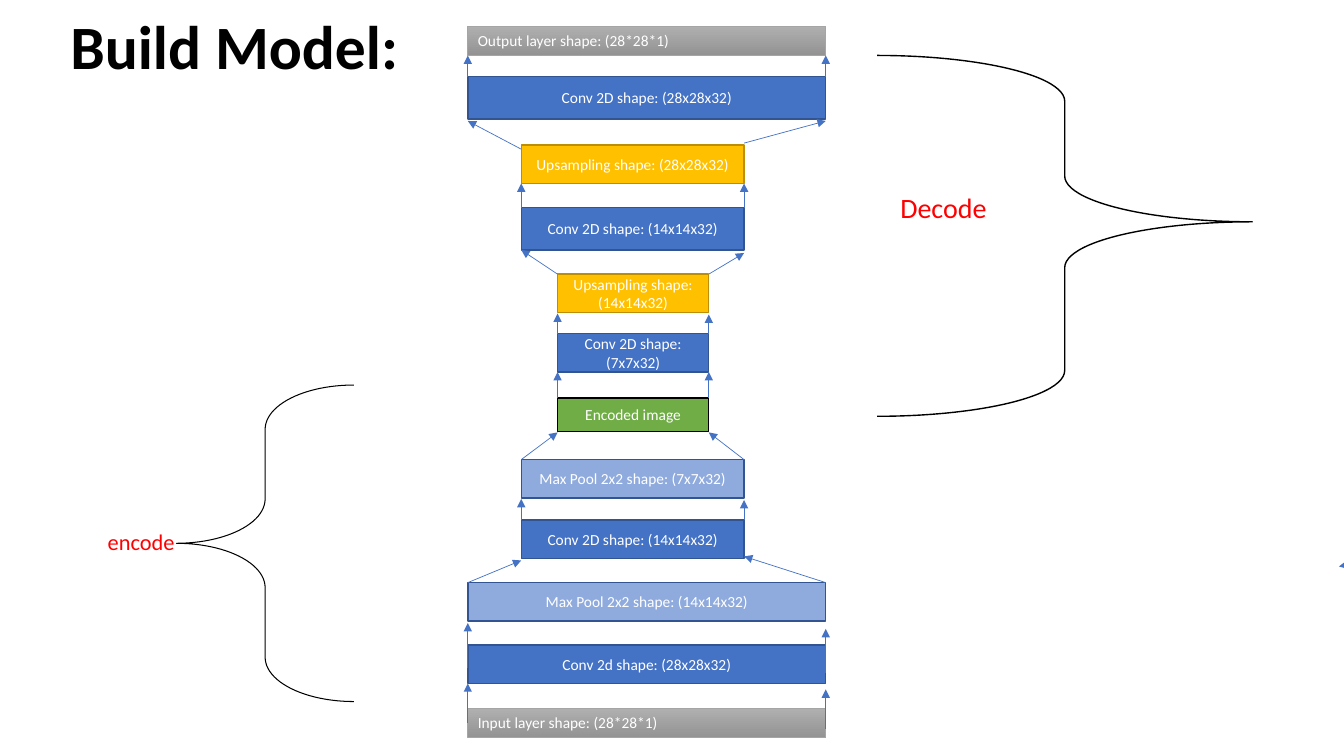
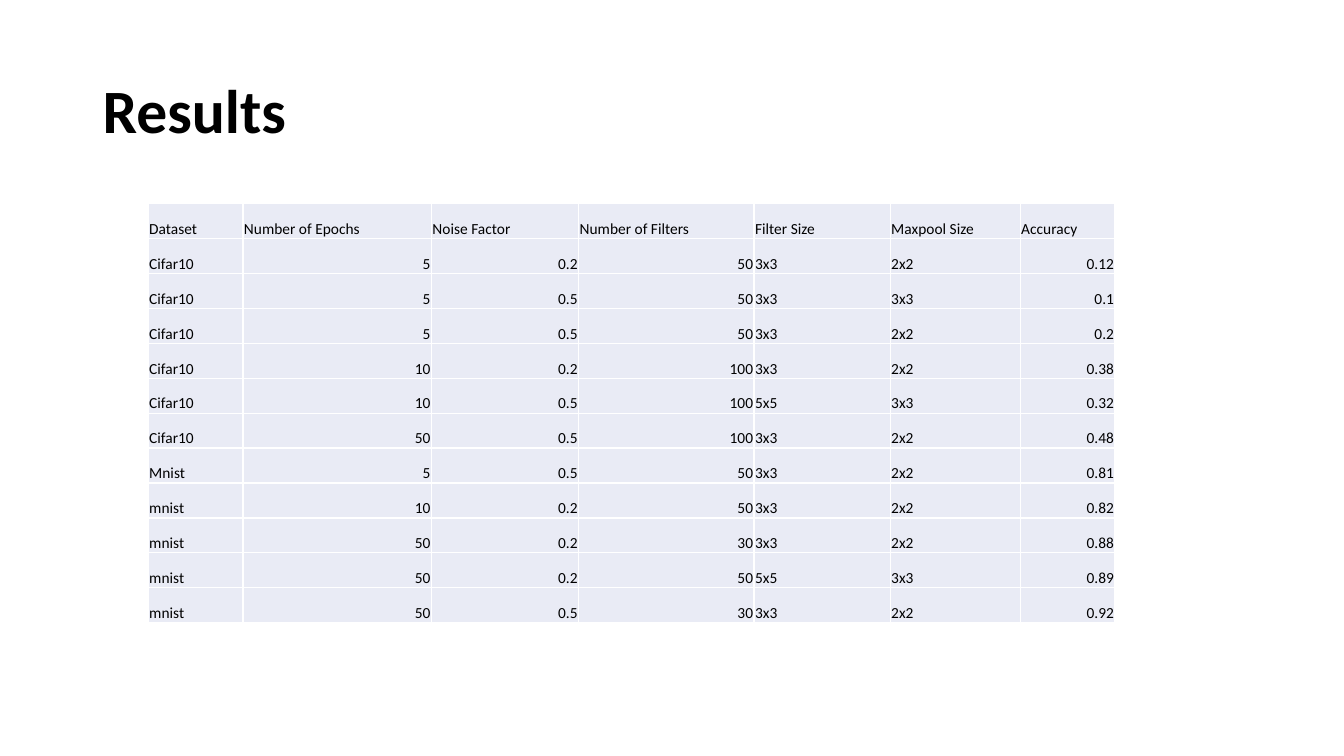
"""Build the autoencoder model slide and the results slide."""
from dataclasses import dataclass
from itertools import pairwise
from typing import NamedTuple

from lxml.etree import SubElement
from pptx import Presentation
from pptx.dml.color import RGBColor
from pptx.enum.shapes import MSO_CONNECTOR, MSO_SHAPE
from pptx.enum.text import MSO_ANCHOR as Anchor, PP_ALIGN as Align
from pptx.oxml.ns import qn
from pptx.shapes.autoshape import Shape
from pptx.slide import Slide
from pptx.text.text import TextFrame
from pptx.util import Inches, Pt


@dataclass(frozen=True)
class Theme:
    font: str = "Calibri"
    ink: str = "000000"
    paper: str = "FFFFFF"
    label: str = "FF0000"
    arrow: str = "4472C4"
    cell: str = "E9EBF5"
    title_size: float = 44
    decode_size: float = 20
    encode_size: float = 16
    body_size: float = 11
    arrow_width: float = 0.5


class Look(NamedTuple):
    top: str
    bottom: str
    outline: str
    outline_width: float = 1
    align: Align = Align.CENTER
    anchor: Anchor = Anchor.MIDDLE


class Tier(NamedTuple):
    left: float
    width: float

    @property
    def edges(self) -> tuple[float, float]:
        return self.left, self.left + self.width


@dataclass(frozen=True)
class Layer:
    """One network layer; feet and gaps shift its left and right arrows."""
    text: str
    look: Look
    tier: Tier
    top: float
    height: float = 0.38
    feet: tuple[float, float] = (0, 0)
    gaps: tuple[float, float] = (0, 0)


@dataclass(frozen=True)
class Brace:
    preset: MSO_SHAPE
    box: tuple[float, float, float, float]
    bends: tuple[float, float]
    line_width: float


THEME = Theme()
EDGE = Look("AFAFAF", "939393", "A5A5A5", 0.5, Align.LEFT, Anchor.TOP)
CONV = Look("4472C4", "4472C4", "325491")
POOL = Look("8FAADC", "8FAADC", "325491")
UPSAMPLE = Look("FFC000", "FFC000", "BD8E00")
CODE = Look("70AD47", "70AD47", "000000")
WIDE, MIDDLE, NARROW = Tier(4.64, 3.55), Tier(5.17, 2.21), Tier(5.53, 1.5)

LAYERS = [
    Layer("Input layer shape: (28*28*1)", EDGE, WIDE, 7.03, 0.29, (0.14, 0.2), (0, 0.06)),
    Layer("Conv 2d shape: (28x28x32)", CONV, WIDE, 6.4, feet=(0.23, 0.28), gaps=(0.02, 0.08)),
    Layer("Max Pool 2x2 shape: (14x14x32)", POOL, WIDE, 5.78, gaps=(0.02, -0.02)),
    Layer("Conv 2D shape: (14x14x32)", CONV, MIDDLE, 5.16, gaps=(0.01, 0.02)),
    Layer("Max Pool 2x2 shape: (7x7x32)", POOL, MIDDLE, 4.56, gaps=(0.01, 0.01)),
    Layer("Encoded image", CODE, NARROW, 3.95, 0.33),
    Layer("Conv 2D shape: (7x7x32)", CONV, NARROW, 3.31, gaps=(0.01, 0.02)),
    Layer("Upsampling shape: (14x14x32)", UPSAMPLE, NARROW, 2.72, gaps=(0, 0.03)),
    Layer("Conv 2D shape: (14x14x32)", CONV, MIDDLE, 2.06, 0.42),
    Layer("Upsampling shape: (28x28x32)", UPSAMPLE, MIDDLE, 1.44,
          feet=(0.04, -0.02), gaps=(0.02, 0.02)),
    Layer("Conv 2D shape: (28x28x32)", CONV, WIDE, 0.76, 0.42),
    Layer("Output layer shape: (28*28*1)", EDGE, WIDE, 0.26, 0.29),
]

DECODE = Brace(MSO_SHAPE.RIGHT_BRACE, (8.7, 0.55, 3.72, 3.58), (0.127, 0.461), 1)
ENCODE = Brace(MSO_SHAPE.LEFT_BRACE, (1.75, 3.82, 1.76, 3.14), (0.25, 0.5), 0.75)

COLUMNS = [("Dataset", 0.94), ("Number of Epochs", 1.87), ("Noise Factor", 1.46),
           ("Number of Filters", 1.74), ("Filter Size", 1.35), ("Maxpool Size", 1.29),
           ("Accuracy", 0.94)]
NUMERIC = {"Number of Epochs", "Noise Factor", "Number of Filters", "Accuracy"}
RUNS = [
    ("Cifar10", "5", "0.2", "50", "3x3", "2x2", "0.12"),
    ("Cifar10", "5", "0.5", "50", "3x3", "3x3", "0.1"),
    ("Cifar10", "5", "0.5", "50", "3x3", "2x2", "0.2"),
    ("Cifar10", "10", "0.2", "100", "3x3", "2x2", "0.38"),
    ("Cifar10", "10", "0.5", "100", "5x5", "3x3", "0.32"),
    ("Cifar10", "50", "0.5", "100", "3x3", "2x2", "0.48"),
    ("Mnist", "5", "0.5", "50", "3x3", "2x2", "0.81"),
    ("mnist", "10", "0.2", "50", "3x3", "2x2", "0.82"),
    ("mnist", "50", "0.2", "30", "3x3", "2x2", "0.88"),
    ("mnist", "50", "0.2", "50", "5x5", "3x3", "0.89"),
    ("mnist", "50", "0.5", "30", "3x3", "2x2", "0.92"),
]


def rgb(value: str) -> RGBColor:
    """Turn a hex string into a colour."""
    return RGBColor.from_string(value)


def write(frame: TextFrame, text: str, *, size: float = THEME.body_size,
          color: str = THEME.ink, bold: bool = False, align: Align = Align.LEFT,
          spacing: float = 1.0) -> None:
    """Fill a text frame with one formatted paragraph."""
    paragraph = frame.paragraphs[0]
    paragraph.alignment, paragraph.line_spacing = align, spacing
    run = paragraph.add_run()
    run.text = text
    run.font.name, run.font.size, run.font.bold = THEME.font, Pt(size), bold
    run.font.color.rgb = rgb(color)


def add_label(slide: Slide, text: str, box: tuple[float, float, float, float],
              anchor: Anchor = Anchor.TOP, **style) -> None:
    """Place free-standing text."""
    frame = slide.shapes.add_textbox(*map(Inches, box)).text_frame
    frame.word_wrap, frame.vertical_anchor = True, anchor
    write(frame, text, **style)


def add_title(slide: Slide, text: str, box: tuple[float, float, float, float]) -> None:
    """Place a slide title in the shared style."""
    add_label(slide, text, box, Anchor.MIDDLE, size=THEME.title_size, bold=True, spacing=0.9)


def add_layer(slide: Slide, layer: Layer) -> None:
    """Draw one network layer."""
    look = layer.look
    block = slide.shapes.add_shape(MSO_SHAPE.RECTANGLE, *map(Inches, (
        layer.tier.left, layer.top, layer.tier.width, layer.height)))
    block.shadow.inherit = False
    if look.top == look.bottom:
        block.fill.solid()
        block.fill.fore_color.rgb = rgb(look.top)
    else:
        block.fill.gradient()
        block.fill.gradient_angle = 270
        for stop, color in zip(block.fill.gradient_stops, (look.top, look.bottom)):
            stop.color.rgb = rgb(color)
    block.line.color.rgb, block.line.width = rgb(look.outline), Pt(look.outline_width)
    block.text_frame.word_wrap = True
    block.text_frame.vertical_anchor = look.anchor
    write(block.text_frame, layer.text, color=THEME.paper, align=look.align)


def add_arrow(slide: Slide, start: tuple[float, float], end: tuple[float, float]) -> None:
    """Draw a thin arrow that points at its end."""
    arrow = slide.shapes.add_connector(MSO_CONNECTOR.STRAIGHT, *map(Inches, (*start, *end)))
    arrow.line.color.rgb, arrow.line.width = rgb(THEME.arrow), Pt(THEME.arrow_width)
    SubElement(arrow.line._get_or_add_ln(), qn("a:tailEnd"), type="triangle")
    SubElement(arrow._element.spPr, qn("a:effectLst"))


def link_layers(slide: Slide, lower: Layer, upper: Layer) -> None:
    """Join the top corners of a layer to the bottom corners of the next."""
    base = upper.top + upper.height
    for x, next_x, foot, gap in zip(lower.tier.edges, upper.tier.edges, lower.feet, lower.gaps):
        add_arrow(slide, (x, lower.top + foot), (next_x, base + gap))


def add_brace(slide: Slide, brace: Brace) -> Shape:
    """Draw an unfilled brace."""
    outline = slide.shapes.add_shape(brace.preset, *map(Inches, brace.box))
    outline.shadow.inherit = False
    outline.fill.background()
    outline.line.color.rgb, outline.line.width = rgb(THEME.ink), Pt(brace.line_width)
    for position, bend in enumerate(brace.bends):
        outline.adjustments[position] = bend
    return outline


def build_model(slide: Slide) -> None:
    """Draw the layer stack with its two halves marked."""
    add_title(slide, "Build Model:", (0.6, 0.1, 11.5, 0.79))
    decode = add_brace(slide, DECODE).text_frame
    decode.vertical_anchor, decode.margin_top = Anchor.TOP, Inches(1.21)
    write(decode, "Decode", size=THEME.decode_size, color=THEME.label, align=Align.CENTER)
    add_brace(slide, ENCODE)
    add_label(slide, "encode", (0.97, 5.19, 0.93, 0.37),
              size=THEME.encode_size, color=THEME.label)
    for layer in LAYERS:
        add_layer(slide, layer)
    for lower, upper in pairwise(LAYERS):
        link_layers(slide, lower, upper)
    add_arrow(slide, (13.33, 5.61), (13.28, 5.62))


def build_results(slide: Slide) -> None:
    """Tabulate the training runs."""
    add_title(slide, "Results", (0.92, 0.4, 11.5, 1.45))
    headings = [heading for heading, _ in COLUMNS]
    rows = [headings, *RUNS]
    results = slide.shapes.add_table(
        len(rows), len(COLUMNS), *map(Inches, (1.47, 2.02, 9.58, 4.16))).table
    results.first_row = results.horz_banding = False
    for column, (_, width) in zip(results.columns, COLUMNS):
        column.width = Inches(width)
    for row_number, row in enumerate(rows):
        for column_number, (heading, value) in enumerate(zip(headings, row)):
            cell = results.cell(row_number, column_number)
            cell.margin_left = cell.margin_right = cell.margin_top = Inches(0.01)
            cell.margin_bottom = 0
            cell.vertical_anchor = Anchor.BOTTOM
            for side in ("lnL", "lnR", "lnT", "lnB"):
                border = SubElement(cell._tc.get_or_add_tcPr(), qn(f"a:{side}"), w=str(Pt(1)))
                SubElement(SubElement(border, qn("a:solidFill")), qn("a:srgbClr"),
                           val=THEME.paper)
            cell.fill.solid()
            cell.fill.fore_color.rgb = rgb(THEME.cell)
            numeric = row_number > 0 and heading in NUMERIC
            write(cell.text_frame, value, align=Align.RIGHT if numeric else Align.LEFT)


def main() -> None:
    """Assemble and save the presentation."""
    deck = Presentation()
    deck.slide_width, deck.slide_height = Inches(13.33), Inches(7.5)
    for build in (build_model, build_results):
        build(deck.slides.add_slide(deck.slide_layouts[6]))
    deck.save("out.pptx")


if __name__ == "__main__":
    main()
